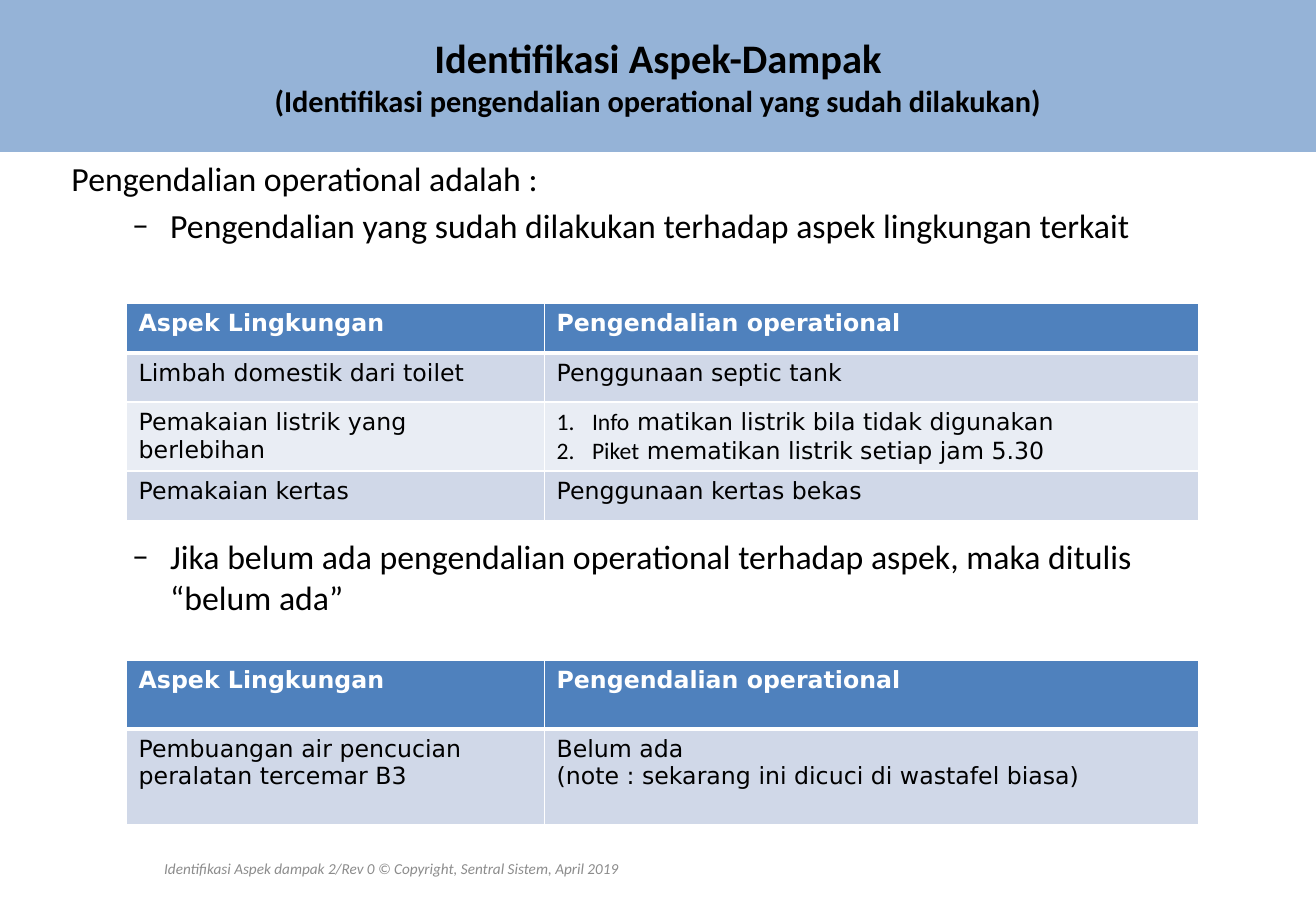
import pptx
import pptx.dml.color
import pptx.enum.shapes
import pptx.enum.text
import pptx.oxml
import pptx.oxml.ns
import pptx.util
from lxml import etree

Pt = pptx.util.Pt
RGB = pptx.dml.color.RGBColor
ALIGN = pptx.enum.text.PP_ALIGN
ANCHOR = pptx.enum.text.MSO_ANCHOR
qn = pptx.oxml.ns.qn

BLACK = RGB(0x00, 0x00, 0x00)
WHITE = RGB(0xFF, 0xFF, 0xFF)
GREY = RGB(0x8C, 0x8C, 0x8C)
BANNER_BLUE = RGB(0x95, 0xB3, 0xD7)
HEADER_BLUE = RGB(0x4F, 0x81, 0xBD)
BANDS = (RGB(0xD0, 0xD8, 0xE8), RGB(0xE9, 0xED, 0xF4))

BODY = {"name": "Calibri", "size": Pt(20)}
TITLE = {"name": "Calibri", "size": Pt(24), "bold": True}
SUBTITLE = {**TITLE, "size": Pt(18)}
FOOTER = {"name": "Calibri", "size": Pt(9), "italic": True}
CELL = {"name": "DejaVu Sans", "size": Pt(14), "bold": False}
HEADER = {**CELL, "bold": True}
CELL_LEAD = {**CELL, "name": "Calibri"}

DASH = ("buChar", {"char": "–"})
NUMBER = ("buAutoNum", {"type": "arabicPeriod"})


class SlideBuilder:
    def __init__(self, slide):
        self.shapes = slide.shapes

    def run(self, paragraph, text, style, color=BLACK):
        run = paragraph.add_run()
        run.text = text
        for attribute, value in style.items():
            setattr(run.font, attribute, value)
        run.font.color.rgb = color

    def bullet(self, paragraph, kind, left, hanging):
        properties = paragraph._p.get_or_add_pPr()
        properties.set("marL", str(Pt(left)))
        properties.set("indent", str(-Pt(hanging)))
        tag, attributes = kind
        etree.SubElement(properties, qn("a:buFont"), typeface="Calibri")
        etree.SubElement(properties, qn("a:" + tag), attributes)

    def paragraphs(self, frame, count):
        return [frame.paragraphs[0]] + [frame.add_paragraph() for _ in range(count - 1)]

    def text_box(self, left, top, width, height, anchor=ANCHOR.TOP):
        frame = self.shapes.add_textbox(Pt(left), Pt(top), Pt(width), Pt(height)).text_frame
        frame.word_wrap = True
        frame.vertical_anchor = anchor
        return frame

    def banner(self, width, height, lines):
        banner = self.shapes.add_shape(
            pptx.enum.shapes.MSO_SHAPE.RECTANGLE, 0, 0, Pt(width), Pt(height))
        banner.shadow.inherit = False
        banner.fill.solid()
        banner.fill.fore_color.rgb = BANNER_BLUE
        banner.line.fill.background()
        frame = banner.text_frame
        frame.word_wrap = True
        frame.vertical_anchor = ANCHOR.MIDDLE
        for paragraph, (text, style) in zip(self.paragraphs(frame, len(lines)), lines):
            paragraph.alignment = ALIGN.CENTER
            self.run(paragraph, text, style)

    def explanation(self, left, top, width, height, intro, points):
        frame = self.text_box(left, top, width, height)
        first, *rest = self.paragraphs(frame, len(points) + 1)
        self.run(first, intro, BODY)
        for paragraph, (text, gap) in zip(rest, points):
            self.bullet(paragraph, DASH, 58.5, 22.5)
            paragraph.level = 1
            paragraph.space_before = Pt(gap)
            self.run(paragraph, text, BODY)

    def footer(self, left, top, width, height, text):
        paragraph = self.text_box(left, top, width, height, ANCHOR.MIDDLE).paragraphs[0]
        paragraph.alignment = ALIGN.CENTER
        self.run(paragraph, text, FOOTER, GREY)

    def borders(self, cell, above, below):
        properties = cell._tc.get_or_add_tcPr()
        for side, weight in {"L": 1, "R": 1, "T": above, "B": below}.items():
            line = etree.SubElement(properties, qn("a:ln" + side), w=str(Pt(weight)))
            fill = etree.SubElement(line, qn("a:solidFill"))
            etree.SubElement(fill, qn("a:srgbClr"), val=str(WHITE))

    def cell(self, cell, lines, row):
        is_header = row == 0
        self.borders(cell, 3 if row == 1 else 1, 3 if is_header else 1)
        cell.fill.solid()
        cell.fill.fore_color.rgb = HEADER_BLUE if is_header else BANDS[(row - 1) % 2]
        style, color = (HEADER, WHITE) if is_header else (CELL, BLACK)
        for paragraph, line in zip(self.paragraphs(cell.text_frame, len(lines)), lines):
            if isinstance(line, tuple):
                lead, line = line
                self.bullet(paragraph, NUMBER, 21, 21)
                self.run(paragraph, lead, CELL_LEAD)
            self.run(paragraph, line, style, color)

    def table(self, left, top, widths, heights, content):
        table = self.shapes.add_table(
            len(heights), len(widths), Pt(left), Pt(top),
            Pt(sum(widths)), Pt(sum(heights))).table
        for column, width in zip(table.columns, widths):
            column.width = Pt(width)
        for row, (height, texts) in enumerate(zip(heights, content)):
            table.rows[row].height = Pt(height)
            for column, lines in enumerate(texts):
                self.cell(table.cell(row, column), lines, row)


def main():
    presentation = pptx.Presentation()
    presentation.slide_width, presentation.slide_height = Pt(780), Pt(540)
    builder = SlideBuilder(presentation.slides.add_slide(presentation.slide_layouts[6]))

    builder.explanation(35.3, 90, 702, 356.4, "Pengendalian operational adalah :", [
        ("Pengendalian yang sudah dilakukan terhadap aspek lingkungan terkait", 4),
        ("Jika belum ada pengendalian operational terhadap aspek, maka ditulis “belum ada”", 172),
    ])
    builder.footer(11.5, 500.4, 440.6, 28.8,
                   "Identifikasi Aspek dampak 2/Rev 0 © Copyright, Sentral Sistem, April 2019")
    builder.banner(780, 90, [
        ("Identifikasi Aspek-Dampak", TITLE),
        ("(Identifikasi pengendalian operational yang sudah dilakukan)", SUBTITLE),
    ])

    table_left, column_widths = 75, (247.7, 388)
    headings = (["Aspek Lingkungan"], ["Pengendalian operational"])
    builder.table(table_left, 180, column_widths, (29.2, 29.2, 40.8, 29.2), [
        headings,
        (["Limbah domestik dari toilet"], ["Penggunaan septic tank"]),
        (["Pemakaian listrik yang berlebihan"],
         [("Info", " matikan listrik bila tidak digunakan"),
          ("Piket", " mematikan listrik setiap jam 5.30")]),
        (["Pemakaian kertas"], ["Penggunaan kertas bekas"]),
    ])
    builder.table(table_left, 391.3, column_widths, (40.8, 56.9), [
        headings,
        (["Pembuangan air pencucian peralatan tercemar B3"],
         ["Belum ada", "(note : sekarang ini dicuci di wastafel biasa)"]),
    ])
    presentation.save("out.pptx")


if __name__ == "__main__":
    main()
